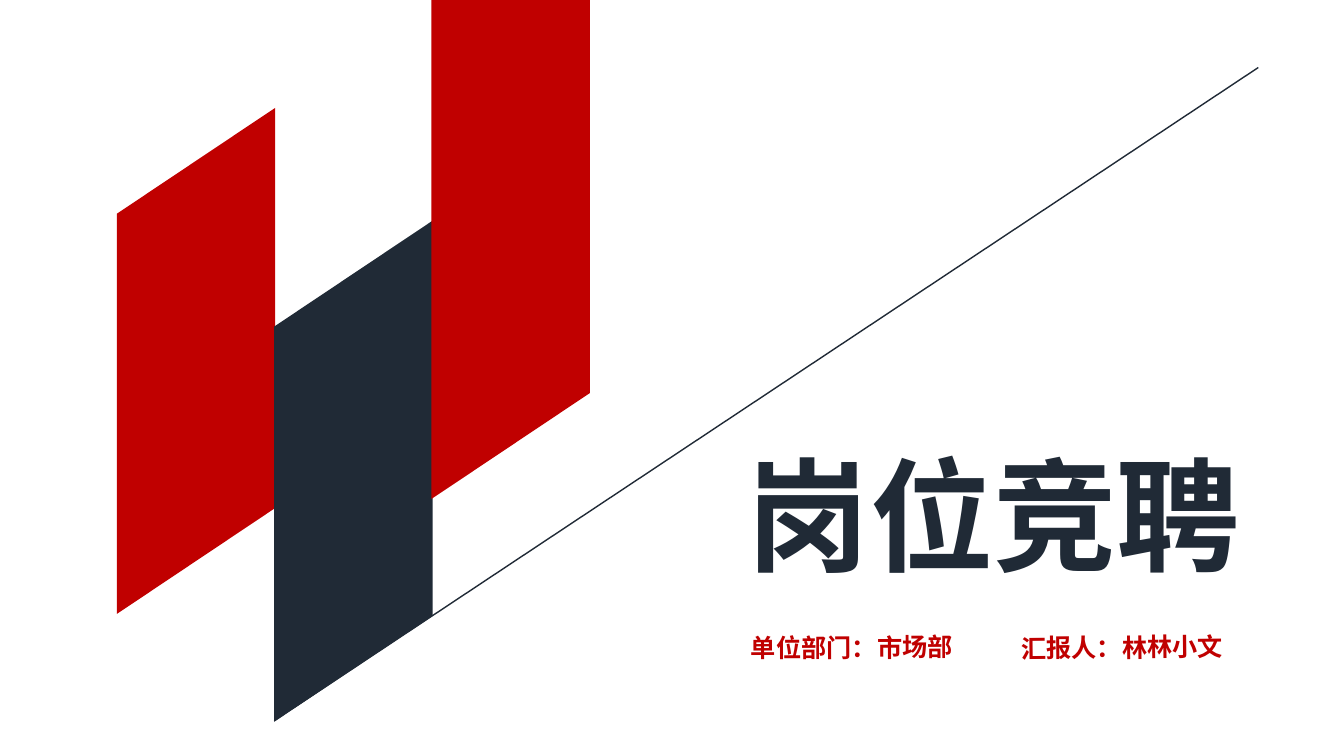
import pptx
import pptx.dml.color
import pptx.enum.shapes
import pptx.enum.text
import pptx.oxml.ns
import pptx.util
from dataclasses import dataclass
from lxml import etree

Inches = pptx.util.Inches
Pt = pptx.util.Pt


def rgb(value):
    return pptx.dml.color.RGBColor.from_string(value)


@dataclass(frozen=True)
class Theme:
    font: str = "Noto Sans CJK SC"
    red: str = "C00000"
    navy: str = "202A36"
    title_size: int = 88
    detail_size: int = 18
    line_width: int = 1


class CoverSlide:
    def __init__(self, presentation, theme):
        self.theme = theme
        self.slide = presentation.slides.add_slide(presentation.slide_layouts[6])

    def polygon(self, points, color):
        corners = [(Inches(x), Inches(y)) for x, y in points]
        builder = self.slide.shapes.build_freeform(*corners[0], scale=1.0)
        builder.add_line_segments(corners[1:], close=True)
        shape = builder.convert_to_shape()
        shape.shadow.inherit = False
        shape.fill.solid()
        shape.fill.fore_color.rgb = rgb(color)
        shape.line.fill.background()

    def line(self, start, end, color):
        connector = self.slide.shapes.add_connector(
            pptx.enum.shapes.MSO_CONNECTOR.STRAIGHT,
            *(Inches(value) for value in (*start, *end)))
        connector.line.color.rgb = rgb(color)
        connector.line.width = Pt(self.theme.line_width)
        properties = connector._element.spPr
        etree.SubElement(properties, pptx.oxml.ns.qn("a:effectLst"))

    def text(self, wording, left, top, width, height, size, color, rotation=0):
        box = self.slide.shapes.add_textbox(
            *(Inches(value) for value in (left, top, width, height)))
        box.rotation = rotation
        frame = box.text_frame
        frame.word_wrap = False
        frame.auto_size = pptx.enum.text.MSO_AUTO_SIZE.SHAPE_TO_FIT_TEXT
        run = frame.paragraphs[0].add_run()
        run.text = wording
        run.font.name = self.theme.font
        run.font.size = Pt(size)
        run.font.bold = True
        run.font.color.rgb = rgb(color)
        east_asian = etree.SubElement(run.font._element, pptx.oxml.ns.qn("a:ea"))
        east_asian.set("typeface", self.theme.font)


def slanted_bar(left, top, bottom, width=1.57, rise=1.05):
    """Corners of an upright bar; top and bottom are those of its left edge."""
    right = left + width
    return [(left, top), (right, top - rise), (right, bottom - rise), (left, bottom)]


def main():
    theme = Theme()
    presentation = pptx.Presentation()
    presentation.slide_width = Inches(13.33)
    presentation.slide_height = Inches(7.5)
    cover = CoverSlide(presentation, theme)

    cover.polygon(slanted_bar(1.16, 2.12, 6.09), theme.red)
    cover.polygon(slanted_bar(2.72, 3.24, 7.16), theme.navy)
    cover.line((2.72, 7.15), (12.48, 0.67), theme.navy)
    cover.polygon([(4.28, -0.01), (5.85, -0.01), (5.85, 3.9), (4.28, 4.95)], theme.red)

    cover.text("岗位竞聘", 7.31, 4.31, 5.14, 1.58, theme.title_size, theme.navy)
    details = [("单位部门：市场部", 7.35, 359.8), ("汇报人：林林小文", 10.03, 359.4)]
    for wording, left, rotation in details:
        cover.text(wording, left, 6.22, 2.24, 0.46, theme.detail_size, theme.red, rotation)

    presentation.save("out.pptx")


if __name__ == "__main__":
    main()
